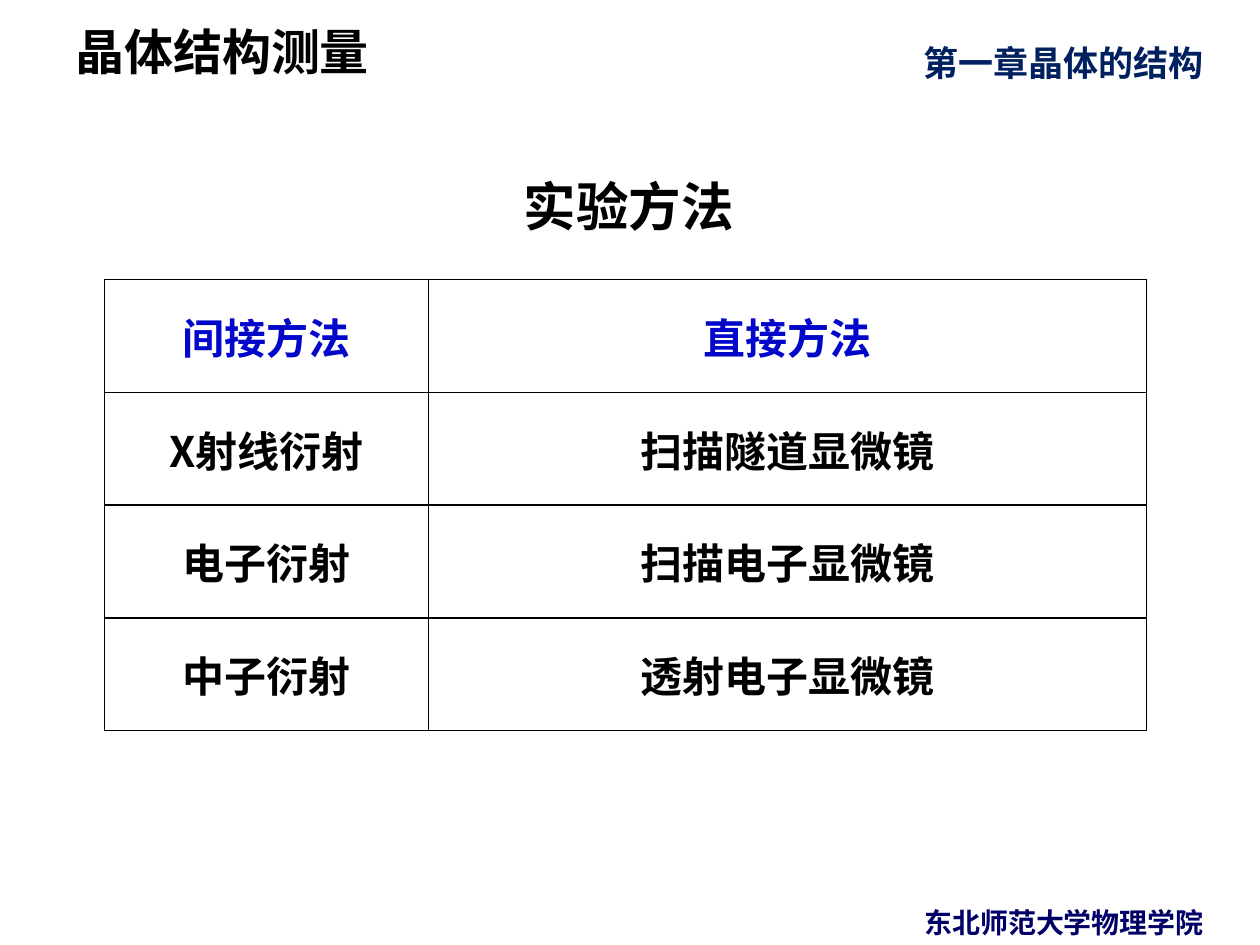
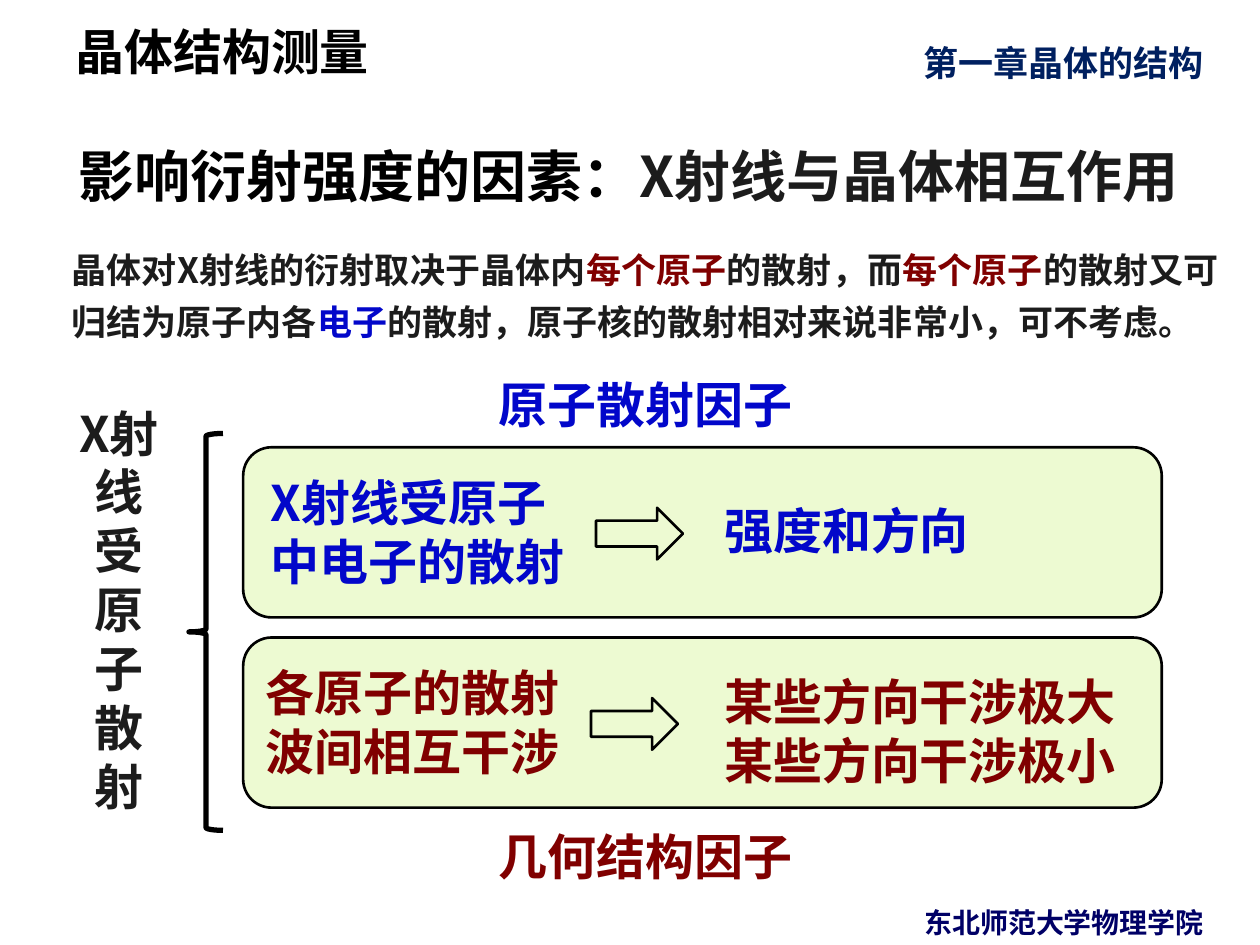
from dataclasses import dataclass

import pptx
import pptx.dml.color
import pptx.enum.shapes
import pptx.enum.text
import pptx.oxml
import pptx.oxml.ns
import pptx.util
from pptx.util import Inches

ALIGN = pptx.enum.text.PP_ALIGN
ANCHOR = pptx.enum.text.MSO_ANCHOR
AUTO_SIZE = pptx.enum.text.MSO_AUTO_SIZE
SHAPE = pptx.enum.shapes.MSO_SHAPE


@dataclass(frozen=True)
class Theme:
    heading_font: str = "Montserrat"
    body_font: str = "Noto Sans CJK SC"
    black: str = "000000"
    ink: str = "1C1C1C"
    blue: str = "0207CA"
    red: str = "800000"
    chapter_navy: str = "002060"
    footer_navy: str = "000066"
    panel: str = "EDFAD2"
    white: str = "FFFFFF"
    footer_size: int = 16
    small_size: int = 20
    table_size: int = 24
    large_size: int = 28
    table_title_size: int = 30
    title_size: int = 32


def rgb(color):
    return pptx.dml.color.RGBColor.from_string(color)


class Deck:
    def __init__(self, theme):
        self.theme = theme
        self.presentation = pptx.Presentation()
        self.presentation.slide_width = Inches(10)
        self.presentation.slide_height = Inches(7.5)
        self.slide = None

    def add_slide(self):
        """Start a slide with the chapter name, section name and footer."""
        theme = self.theme
        self.slide = self.presentation.slides.add_slide(self.presentation.slide_layouts[6])
        self.add_text(7.23, 0.28, 2.83, 0.43, "第一章晶体的结构", theme.small_size,
                      theme.chapter_navy, font=theme.heading_font)
        self.add_text(0.5, 0, 7.67, 0.69, "晶体结构测量", theme.large_size, theme.black,
                      font=theme.heading_font, anchor=ANCHOR.BOTTOM, spacing=1.25)
        self.add_text(6.89, 7.14, 3.11, 0.37, "东北师范大学物理学院", theme.footer_size,
                      theme.footer_navy, align=ALIGN.CENTER)

    def style(self, paragraph, size, color, font, align=None):
        paragraph.alignment = align
        paragraph.font.size = pptx.util.Pt(size)
        paragraph.font.bold = True
        paragraph.font.color.rgb = rgb(color)
        self.set_typeface(paragraph.font, paragraph._p.pPr.find(pptx.oxml.ns.qn("a:defRPr")), font)

    def set_typeface(self, font, properties, name):
        """Use one typeface for Latin and East Asian characters."""
        font.name = name
        east_asian = pptx.oxml.parse_xml(
            f'<a:ea {pptx.oxml.ns.nsdecls("a")} typeface="{name}"/>')
        properties.find(pptx.oxml.ns.qn("a:latin")).addnext(east_asian)

    def add_text(self, left, top, width, height, content, size, color, font=None,
                 align=None, anchor=ANCHOR.TOP, spacing=None, grow=True):
        """Content is a string with one paragraph a line, or a list of (text, color) runs."""
        box = self.slide.shapes.add_textbox(
            Inches(left), Inches(top), Inches(width), Inches(height))
        frame = box.text_frame
        frame.word_wrap = True
        frame.auto_size = AUTO_SIZE.SHAPE_TO_FIT_TEXT if grow else AUTO_SIZE.NONE
        frame.vertical_anchor = anchor
        if isinstance(content, str):
            frame.text = content
        else:
            for text, run_color in content:
                run = frame.paragraphs[0].add_run()
                run.text = text
                run.font.color.rgb = rgb(run_color)
        for paragraph in frame.paragraphs:
            self.style(paragraph, size, color, font or self.theme.body_font, align)
            paragraph.line_spacing = spacing
        return box

    def add_title(self, top, content, size):
        return self.add_text(0.48, top, 9.02, 0.87, content, size, self.theme.black,
                             font=self.theme.heading_font, align=ALIGN.CENTER,
                             anchor=ANCHOR.BOTTOM, spacing=0.9, grow=False)

    def add_label(self, left, top, width, height, text, color, align=None):
        self.add_text(left, top, width, height, text, self.theme.large_size, color, align=align)

    def add_shape(self, kind, left, top, width, height, fill=None, line_width=1.5):
        shape = self.slide.shapes.add_shape(
            kind, Inches(left), Inches(top), Inches(width), Inches(height))
        shape.shadow.inherit = False
        if fill:
            shape.fill.solid()
            shape.fill.fore_color.rgb = rgb(fill)
        else:
            shape.fill.background()
        shape.line.color.rgb = rgb(self.theme.black)
        shape.line.width = pptx.util.Pt(line_width)

    def add_table(self, left, top, column_widths, height, rows):
        theme = self.theme
        table = self.slide.shapes.add_table(
            len(rows), len(column_widths), Inches(left), Inches(top),
            Inches(sum(column_widths)), Inches(height)).table
        table.first_row = table.horz_banding = False
        for column, width in zip(table.columns, column_widths):
            column.width = Inches(width)
        for row_index, row in enumerate(rows):
            color = theme.black if row_index else theme.blue
            for column_index, text in enumerate(row):
                cell = table.cell(row_index, column_index)
                cell.text = text
                cell.vertical_anchor = ANCHOR.MIDDLE
                self.style(cell.text_frame.paragraphs[0], theme.table_size, color,
                           theme.body_font, ALIGN.CENTER)
                cell.fill.solid()
                cell.fill.fore_color.rgb = rgb(theme.white)
                self.add_borders(cell)

    def add_borders(self, cell):
        properties = cell._tc.get_or_add_tcPr()
        for index, side in enumerate(("lnL", "lnR", "lnT", "lnB")):
            properties.insert(index, pptx.oxml.parse_xml(
                f'<a:{side} {pptx.oxml.ns.nsdecls("a")} w="{pptx.util.Pt(1)}"><a:solidFill>'
                f'<a:srgbClr val="{self.theme.black}"/></a:solidFill></a:{side}>'))


def build_methods_slide(deck):
    deck.add_slide()
    deck.add_title(1.07, "实验方法", deck.theme.table_title_size)
    deck.add_table(0.83, 2.22, (2.57, 5.7), 3.58, [
        ("间接方法", "直接方法"),
        ("X射线衍射", "扫描隧道显微镜"),
        ("电子衍射", "扫描电子显微镜"),
        ("中子衍射", "透射电子显微镜"),
    ])


def build_scattering_slide(deck):
    theme = deck.theme
    deck.add_slide()
    for panel_top in (3.55, 5.06):
        deck.add_shape(SHAPE.ROUNDED_RECTANGLE, 1.93, panel_top, 7.29, 1.35, theme.panel)

    title = deck.add_title(0.84, [("影响衍射强度的因素：", theme.black),
                                  ("X射线与晶体相互作用", theme.ink)], theme.title_size)
    interaction = title.text_frame.paragraphs[0].runs[1]
    deck.set_typeface(interaction.font, interaction._r.rPr, theme.body_font)

    deck.add_label(0.52, 3.15, 0.85, 3.87, "X射线受\n原子散射", theme.ink, ALIGN.CENTER)
    deck.add_shape(SHAPE.LEFT_BRACE, 1.5, 3.44, 0.27, 3.15, line_width=3)

    deck.add_label(3.86, 2.92, 2.57, 0.57, "原子散射因子", theme.blue)
    deck.add_label(2.05, 3.7, 2.61, 1.04, "X射线受原子中电子的散射", theme.blue)
    deck.add_label(5.65, 3.92, 2.24, 0.57, "强度和方向", theme.blue)

    deck.add_label(2.01, 5.21, 2.56, 1.04, "各原子的散射\n波间相互干涉", theme.red)
    deck.add_label(5.65, 5.28, 3.4, 1.04, "某些方向干涉极大某些方向干涉极小", theme.red)
    deck.add_label(3.86, 6.51, 2.57, 0.57, "几何结构因子", theme.red)

    for arrow_left, arrow_top in ((4.73, 4.03), (4.69, 5.54)):
        deck.add_shape(SHAPE.RIGHT_ARROW, arrow_left, arrow_top, 0.69, 0.41, theme.panel)

    deck.add_text(0.47, 1.84, 9.3, 0.94, [
        ("晶体对X射线的衍射取决于晶体内", theme.ink),
        ("每个原子", theme.red),
        ("的散射，而", theme.ink),
        ("每个原子", theme.red),
        ("的散射又可归结为原子内各", theme.ink),
        ("电子", theme.blue),
        ("的散射，原子核的散射相对来说非常小，可不考虑。", theme.ink),
    ], theme.small_size, theme.ink, align=ALIGN.JUSTIFY, spacing=1.25)


def main():
    deck = Deck(Theme())
    build_methods_slide(deck)
    build_scattering_slide(deck)
    deck.presentation.save("out.pptx")


if __name__ == "__main__":
    main()
